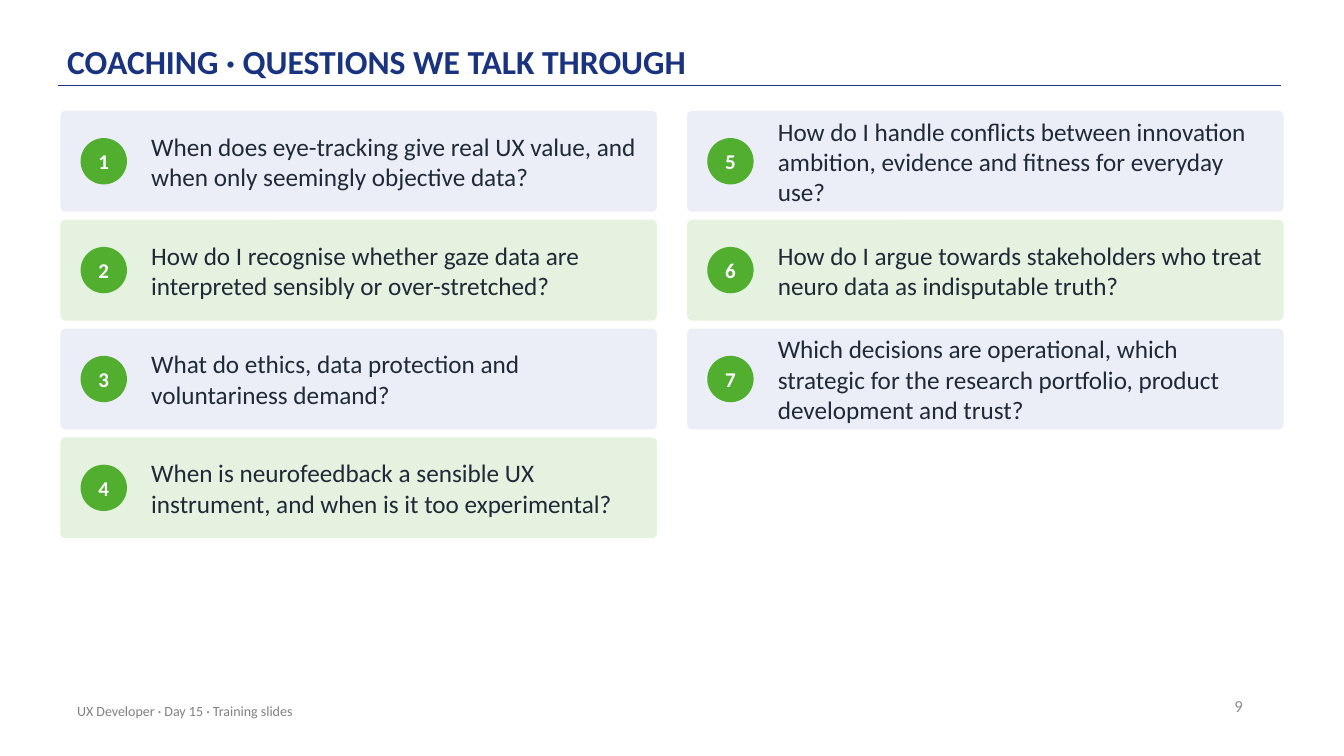
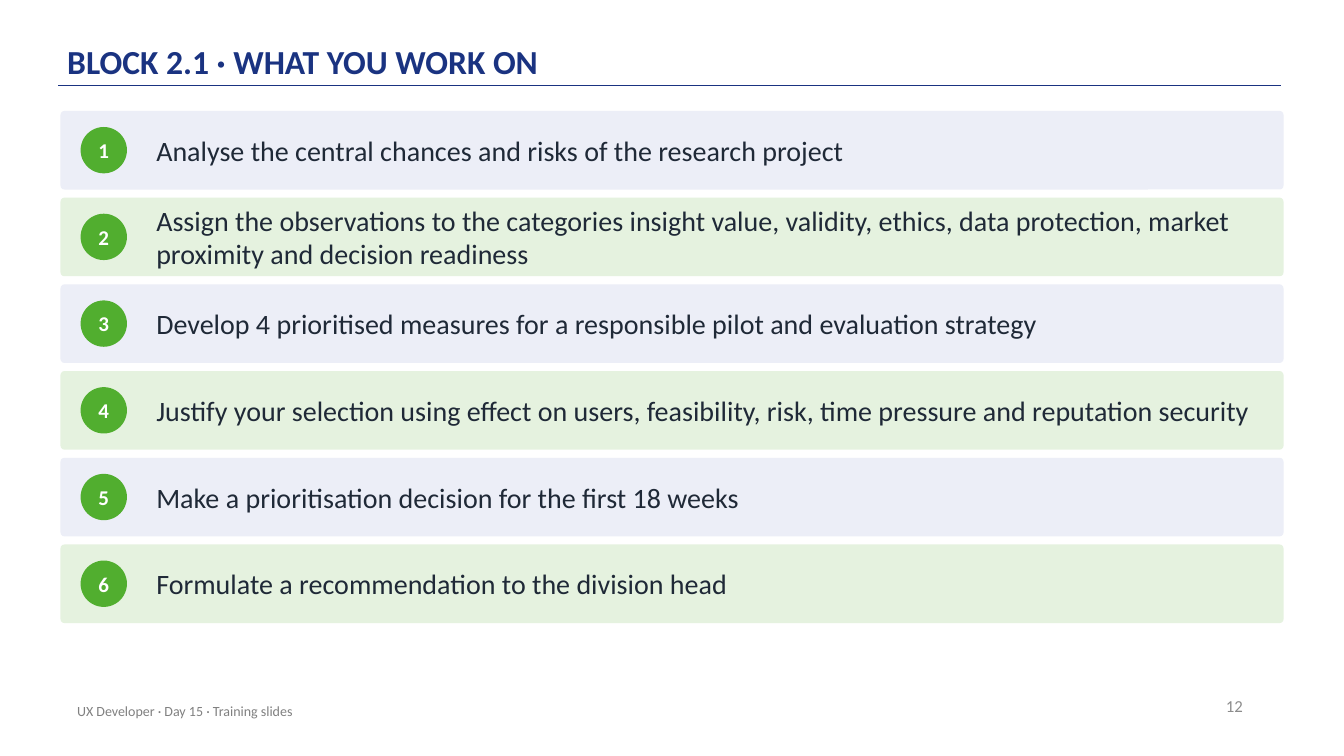
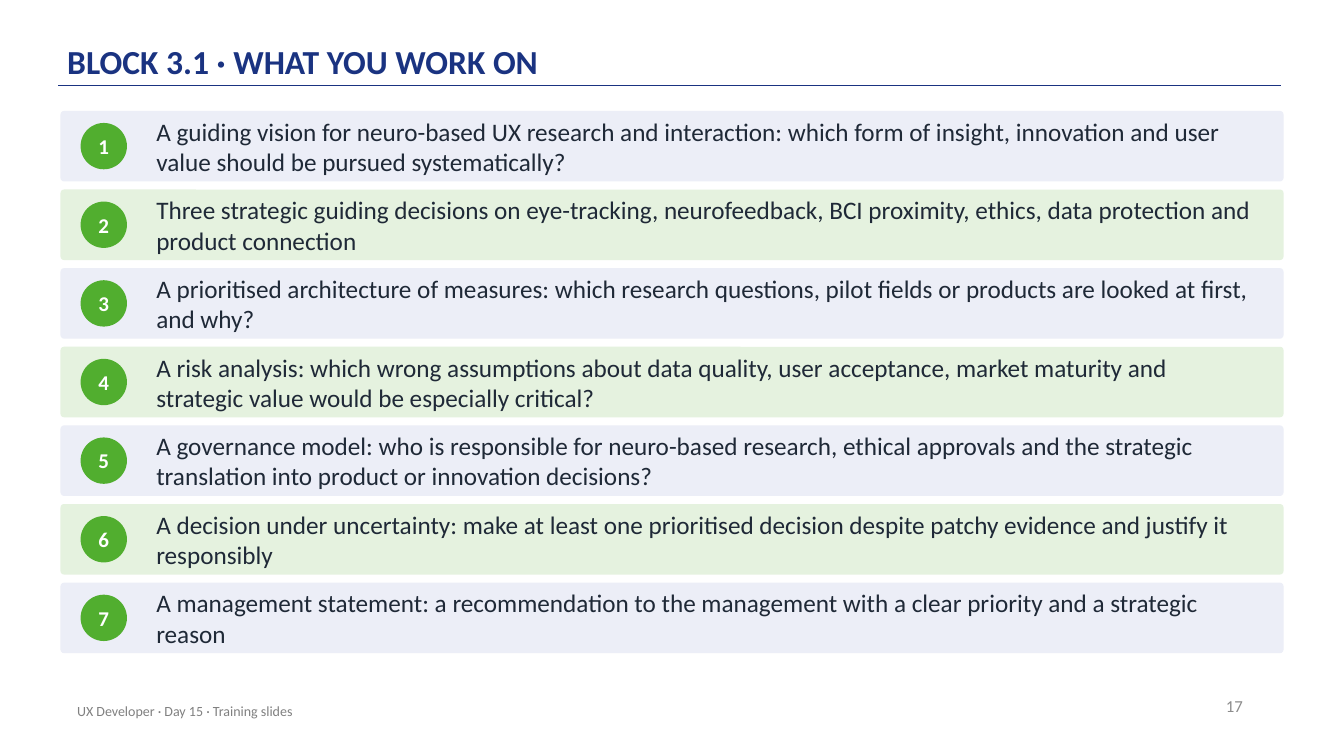
from lxml import etree
from pptx import Presentation
from pptx.dml.color import RGBColor
from pptx.enum.shapes import MSO_CONNECTOR, MSO_SHAPE
from pptx.enum.text import MSO_ANCHOR, MSO_AUTO_SIZE, PP_ALIGN
from pptx.oxml.ns import qn
from pptx.util import Inches, Pt

NAVY = RGBColor(0x1A, 0x33, 0x81)
GREEN = RGBColor(0x51, 0xAE, 0x2F)
PALE_BLUE = RGBColor(0xEC, 0xEE, 0xF7)
PALE_GREEN = RGBColor(0xE5, 0xF2, 0xDF)
INK = RGBColor(0x1F, 0x29, 0x37)
GREY = RGBColor(0x80, 0x80, 0x80)
LIGHT_GREY = RGBColor(0x8C, 0x8C, 0x8C)
WHITE = RGBColor(0xFF, 0xFF, 0xFF)

STRAIGHT = MSO_CONNECTOR.STRAIGHT
ROUNDED, OVAL = MSO_SHAPE.ROUNDED_RECTANGLE, MSO_SHAPE.OVAL
LEFT, CENTER, RIGHT = PP_ALIGN.LEFT, PP_ALIGN.CENTER, PP_ALIGN.RIGHT
MIDDLE, BOTTOM = MSO_ANCHOR.MIDDLE, MSO_ANCHOR.BOTTOM
FIXED, GROW = MSO_AUTO_SIZE.NONE, MSO_AUTO_SIZE.SHAPE_TO_FIT_TEXT

TITLE_ONLY = 5
FOOTER = "UX Developer · Day 15 · Training slides"
NO_MARGINS = {"margin_left": 0, "margin_top": 0, "margin_right": 0, "margin_bottom": 0}
TITLE_MARGINS = {**NO_MARGINS, "margin_top": Inches(0.03), "margin_bottom": Inches(0.03)}


class Slides:
    font = "Calibri"
    card_left, card_top, card_span = 4.5, 14.67, 91
    gutter, row_gap = 2.25, 1.07
    badge_inset, badge_width = 1.5, 3.45

    def __init__(self):
        self.deck = Presentation()
        self.deck.slide_width = Inches(13.33)
        self.deck.slide_height = Inches(7.5)
        self.page = None

    def across(self, percent):
        return round(self.deck.slide_width * percent / 100)

    def down(self, percent):
        return round(self.deck.slide_height * percent / 100)

    def area(self, left, top, width, height):
        return self.across(left), self.down(top), self.across(width), self.down(height)

    def fill_text(self, box, text, size, color, bold=False, align=LEFT, spacing=None, **frame_style):
        frame = box.text_frame
        frame.text = text
        frame_format = {"word_wrap": True, "auto_size": FIXED, "vertical_anchor": MIDDLE, **frame_style}
        for name, value in frame_format.items():
            setattr(frame, name, value)
        para = frame.paragraphs[0]
        para.alignment = align
        para.line_spacing = spacing
        span = para.runs[0]
        for name, value in {"name": self.font, "size": Pt(size), "bold": bold}.items():
            setattr(span.font, name, value)
        span.font.color.rgb = color

    def text(self, area, text, size, color, **style):
        box = self.page.shapes.add_textbox(*area)
        self.fill_text(box, text, size, color, **style)

    def shape(self, kind, area, fill):
        shape = self.page.shapes.add_shape(kind, *area)
        shape.shadow.inherit = False
        shape.fill.solid()
        shape.fill.fore_color.rgb = fill
        shape.line.fill.background()
        return shape

    def rule(self):
        height = self.down(11.33)
        line = self.page.shapes.add_connector(
            STRAIGHT, self.across(4.35), height, self.across(95.33), height)
        line.line.color.rgb = NAVY
        line.line.width = Pt(1)
        etree.SubElement(line._element.spPr, qn("a:effectLst"))

    def start(self, title, number):
        self.page = self.deck.slides.add_slide(self.deck.slide_layouts[TITLE_ONLY])
        self.rule()
        box = self.page.shapes.title
        box.left, box.top, box.width, box.height = self.area(5, 1.6, 82.5, 9.6)
        self.fill_text(box, title, 24, NAVY, bold=True, spacing=0.9,
                       vertical_anchor=BOTTOM, **TITLE_MARGINS)
        self.text(self.area(70.72, 90.67, 22.5, 5.33), str(number), 12, LIGHT_GREY, align=RIGHT)
        self.text(self.area(5, 91.33, 50.25, 5.33), FOOTER, 10, GREY)

    def badge(self, left, top, row_height, number):
        size = self.across(self.badge_width)
        middle = self.down(top + row_height / 2)
        circle = self.shape(
            OVAL, (self.across(left + self.badge_inset), middle - size // 2, size, size), GREEN)
        self.fill_text(circle, str(number), 15, WHITE, bold=True, align=CENTER, **NO_MARGINS)

    def cards(self, items, row_height, size, columns=1, text_inset=7.13, right_inset=1.88):
        rows = -(-len(items) // columns)
        width = (self.card_span - self.gutter * (columns - 1)) / columns
        for index, item in enumerate(items):
            column, row = divmod(index, rows)
            left = self.card_left + column * (width + self.gutter)
            top = self.card_top + row * (row_height + self.row_gap)
            card = self.shape(ROUNDED, self.area(left, top, width, row_height),
                              PALE_GREEN if row % 2 else PALE_BLUE)
            card.adjustments[0] = 0.05
            self.badge(left, top, row_height, index + 1)
            text_area = self.area(left + text_inset, top, width - text_inset - right_inset, row_height)
            self.text(text_area, item, size, INK, auto_size=GROW, **NO_MARGINS)


def main():
    slides = Slides()

    slides.start("COACHING · QUESTIONS WE TALK THROUGH", 9)
    slides.cards([
        "When does eye-tracking give real UX value, and when only seemingly objective data?",
        "How do I recognise whether gaze data are interpreted sensibly or over-stretched?",
        "What do ethics, data protection and voluntariness demand?",
        "When is neurofeedback a sensible UX instrument, and when is it too experimental?",
        "How do I handle conflicts between innovation ambition, evidence and fitness for everyday use?",
        "How do I argue towards stakeholders who treat neuro data as indisputable truth?",
        "Which decisions are operational, which strategic for the research portfolio, "
        "product development and trust?",
    ], row_height=13.33, size=18, columns=2, text_inset=6.75, right_inset=1.5)

    slides.start("BLOCK 2.1 · WHAT YOU WORK ON", 12)
    slides.cards([
        "Analyse the central chances and risks of the research project",
        "Assign the observations to the categories insight value, validity, ethics, "
        "data protection, market proximity and decision readiness",
        "Develop 4 prioritised measures for a responsible pilot and evaluation strategy",
        "Justify your selection using effect on users, feasibility, risk, time pressure "
        "and reputation security",
        "Make a prioritisation decision for the first 18 weeks",
        "Formulate a recommendation to the division head",
    ], row_height=10.4, size=20)

    slides.start("BLOCK 3.1 · WHAT YOU WORK ON", 17)
    slides.cards([
        "A guiding vision for neuro-based UX research and interaction: which form of insight, "
        "innovation and user value should be pursued systematically?",
        "Three strategic guiding decisions on eye-tracking, neurofeedback, BCI proximity, ethics, "
        "data protection and product connection",
        "A prioritised architecture of measures: which research questions, pilot fields or products "
        "are looked at first, and why?",
        "A risk analysis: which wrong assumptions about data quality, user acceptance, "
        "market maturity and strategic value would be especially critical?",
        "A governance model: who is responsible for neuro-based research, ethical approvals and "
        "the strategic translation into product or innovation decisions?",
        "A decision under uncertainty: make at least one prioritised decision despite patchy "
        "evidence and justify it responsibly",
        "A management statement: a recommendation to the management with a clear priority "
        "and a strategic reason",
    ], row_height=9.33, size=18)

    slides.deck.save("out.pptx")


if __name__ == "__main__":
    main()
